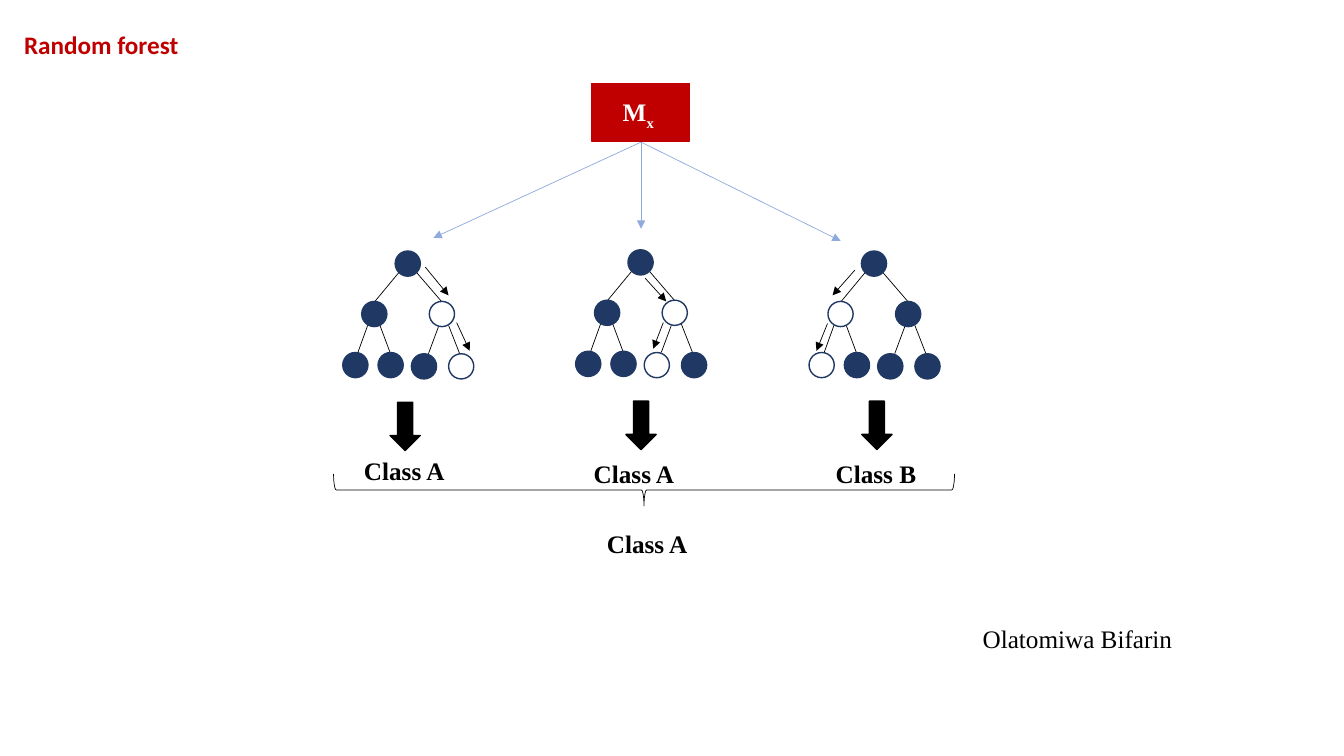
from pptx import Presentation
from pptx.dml.color import RGBColor
from pptx.enum.shapes import MSO_CONNECTOR as Link, MSO_SHAPE as Form
from pptx.enum.text import MSO_AUTO_SIZE as Fit, PP_ALIGN as Align
from pptx.oxml.ns import qn
from pptx.util import Pt
from lxml.etree import SubElement

COLORS = {"red": "C00000", "navy": "203864", "sky": "8FAADC",
          "black": "000000", "white": "FFFFFF"}
SERIF = "Times New Roman"

TITLE = ("Random forest", (10.08, 17.28, 126, 28.8))
AUTHOR = ("Olatomiwa Bifarin", (694.8, 441.36, 160.56, 28.8))
VERDICT = ("Class A", (424.1, 373.7))
LABEL_SIZE = (76.3, 28.8)

SAMPLE_BOX = (422.64, 59.76, 69.84, 41.04)
SAMPLE_TEXT = (437.76, 65.52, 60.48, 28.8)
SAMPLE_EXIT = (457.92, 101.52)

NODE_SIZE = 18
NODES = [(0, 0), (-23.9, 36), (24.4, 36),
         (-37.4, 72.5), (-12.2, 72.5), (11.6, 73.4), (38.2, 73.4)]
BRANCHES = [((2.9, 15.1), (-14.4, 36)), ((15.1, 15.1), (33.1, 36)),
            ((-19.4, 52.6), (-26.6, 72.5)), ((-10.8, 53.2), (-3.6, 72.5)),
            ((31, 54), (23.8, 73.4)), ((38.2, 53.2), (46.1, 73.4))]
DECISION_SIZE = (21.6, 34.56)
BRACE = (448.56, 128.16, 23.04, 443.52)

TREES = [
    {"root": (282.24, 179.28), "open": {2, 6}, "entry": (309.6, 169.9),
     "route": [((303.8, 190.8), (320.4, 211)), ((326.2, 230.4), (335.5, 250.6))],
     "decision": (278.64, 287.28), "label": ("Class A", (250.6, 321.8))},
    {"root": (448.56, 178.4), "open": {2, 5}, "entry": (457.92, 163.4),
     "route": [((460.8, 198.7), (475.9, 215.3)), ((473.8, 230.4), (466.6, 249.1))],
     "decision": (447.12, 286.56), "label": ("Class A", (414.7, 324))},
    {"root": (615.3, 179.28), "open": {1, 3}, "entry": (600.5, 172.1),
     "route": [((610.6, 193), (594.7, 211)), ((591.1, 231.1), (583.2, 250.6))],
     "decision": (615.6, 286.56), "label": ("Class B", (587.5, 324))},
]


def rgb(color):
    return RGBColor.from_string(COLORS[color])


def apply(target, values):
    for key, value in values.items():
        setattr(target, key, value)


def add_form(shapes, form, box, fill, line, width=1):
    shape = shapes.add_shape(form, *map(Pt, box))
    shape.shadow.inherit = False
    if fill:
        shape.fill.solid()
        shape.fill.fore_color.rgb = rgb(fill)
    else:
        shape.fill.background()
    shape.line.color.rgb = rgb(line)
    shape.line.width = Pt(width)
    return shape


def add_line(shapes, start, end, color="black", arrow=False):
    line = shapes.add_connector(Link.STRAIGHT, *map(Pt, start + end))
    line.line.color.rgb = rgb(color)
    line.line.width = Pt(0.5)
    properties = line.line._get_or_add_ln()
    if arrow:
        SubElement(properties, qn("a:tailEnd"), type="triangle")
    SubElement(properties.getparent(), qn("a:effectLst"))


def add_text(shapes, text, box, color="black", font=SERIF, bold=True,
             align=Align.LEFT, wrap=False, subscript=None):
    frame = shapes.add_textbox(*map(Pt, box)).text_frame
    apply(frame, {"word_wrap": wrap, "auto_size": Fit.SHAPE_TO_FIT_TEXT})
    paragraph = frame.paragraphs[0]
    paragraph.alignment = align
    for part in filter(None, (text, subscript)):
        run = paragraph.add_run()
        run.text = part
        apply(run.font, {"name": font, "size": Pt(18), "bold": bold})
        run.font.color.rgb = rgb(color)
    if subscript:
        run._r.get_or_add_rPr().set("baseline", "-25000")


def add_label(shapes, text, corner):
    add_text(shapes, text, corner + LABEL_SIZE, align=Align.CENTER)


def add_tree(shapes, root, open_nodes):
    def place(offset):
        return root[0] + offset[0], root[1] + offset[1]

    tree = shapes.add_group_shape().shapes
    for start, end in BRANCHES:
        add_line(tree, place(start), place(end))
    for index, offset in enumerate(NODES):
        add_form(tree, Form.OVAL, place(offset) + (NODE_SIZE, NODE_SIZE),
                 "white" if index in open_nodes else "navy", "navy")


def main():
    deck = Presentation()
    apply(deck, {"slide_width": Pt(960), "slide_height": Pt(540)})
    shapes = deck.slides.add_slide(deck.slide_layouts[6]).shapes

    for tree in TREES:
        add_tree(shapes, tree["root"], tree["open"])
        add_form(shapes, Form.DOWN_ARROW, tree["decision"] + DECISION_SIZE,
                 "black", "black")
        add_line(shapes, SAMPLE_EXIT, tree["entry"], "sky", arrow=True)
        for start, end in tree["route"]:
            add_line(shapes, start, end, arrow=True)
        add_label(shapes, *tree["label"])

    brace = add_form(shapes, Form.LEFT_BRACE, BRACE, None, "black", 0.5)
    brace.rotation = 270
    add_label(shapes, *VERDICT)

    sample = shapes.add_group_shape().shapes
    add_form(sample, Form.RECTANGLE, SAMPLE_BOX, "red", "red")
    add_text(sample, "M", SAMPLE_TEXT, "white", wrap=True, subscript="x")

    add_text(shapes, *AUTHOR, bold=False)
    add_text(shapes, *TITLE, color="red", font="Calibri")
    deck.save("out.pptx")


if __name__ == "__main__":
    main()
